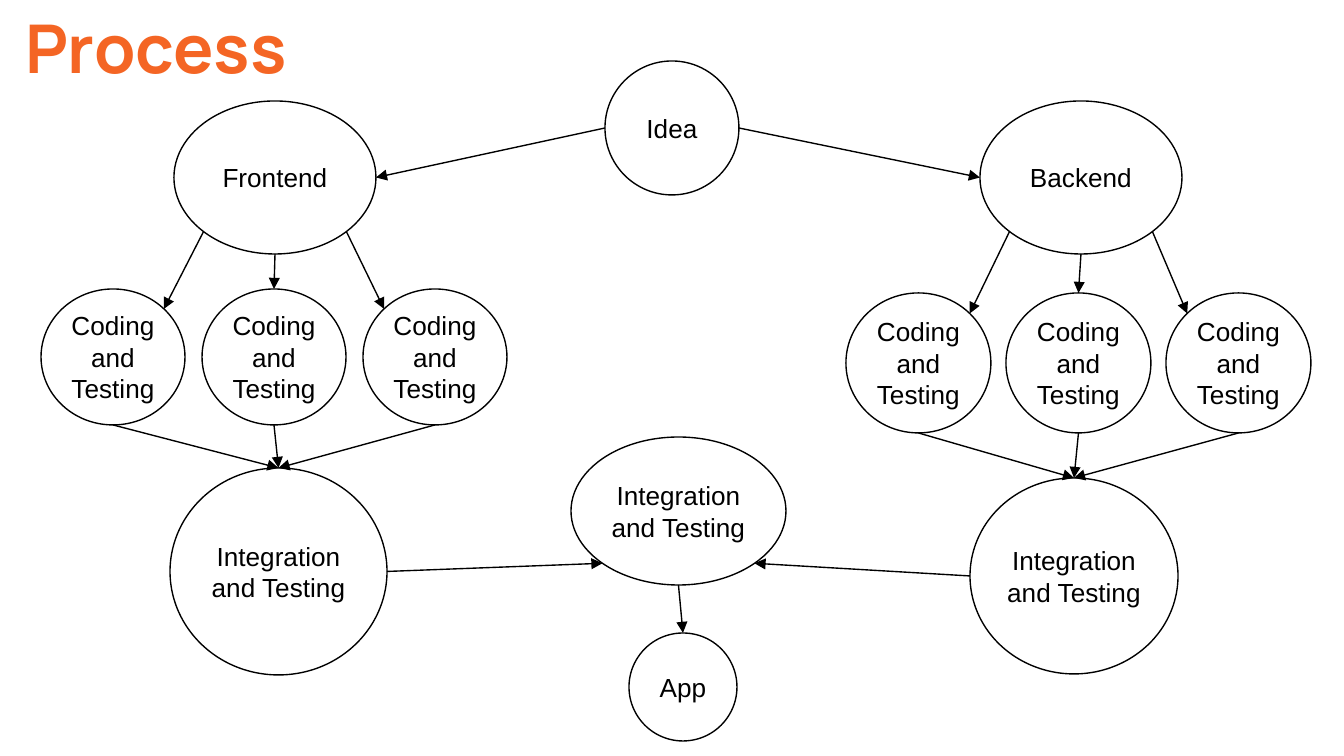
import math
import pptx
import pptx.util
import pptx.dml.color
import pptx.enum.shapes
import pptx.enum.text
from pptx.oxml.ns import qn
from lxml import etree

PX = 914400 / 134.4
COLORS = {"title": "F46524", "ink": "000000", "fill": "FFFFFF"}
CODE, JOIN = "Coding and Testing", "Integration and Testing"

# name: (text, left, top, width, height)
NODES = {
    "idea": ("Idea", 605, 61, 134, 134),
    "front": ("Frontend", 174, 101, 202, 153),
    "back": ("Backend", 980, 101, 202, 153),
    "front join": (JOIN, 170, 468, 217, 207),
    "back join": (JOIN, 970, 478, 208, 196),
    "join": (JOIN, 571, 437, 215, 148),
    "app": ("App", 629, 633, 108, 108),
}
# side: (left, top, width, height, pitch) of its three coding steps
ROWS = {"front": (41, 289, 144, 136, 161), "back": (846, 293, 145, 140, 160)}
for side, (left, top, wide, high, pitch) in ROWS.items():
    for i in range(3):
        NODES[f"{side} code {i}"] = (CODE, left + i * pitch, top, wide, high)

# Connection sites of an ellipse, counter-clockwise from the top
SITES = ["top", "top left", "left", "low left", "low", "low right", "right", "top right"]

# (from, site, to, site)
LINKS = [
    ("idea", "left", "front", "right"),
    ("idea", "right", "back", "left"),
    ("front join", "right", "join", "low left"),
    ("back join", "left", "join", "low right"),
    ("join", "low", "app", "top"),
]
FAN = [("low left", "top right"), ("low", "top"), ("low right", "top left")]
for side in ROWS:
    for i, (start, end) in enumerate(FAN):
        LINKS.append((side, start, f"{side} code {i}", end))
        LINKS.append((f"{side} code {i}", "low", f"{side} join", "top"))


def emu(px):
    return pptx.util.Emu(round(px * PX))


def rgb(name):
    return pptx.dml.color.RGBColor.from_string(COLORS[name])


def write(para, text, font, size, color, bold=False):
    run = para.add_run()
    run.text = text
    run.font.name = font
    run.font.size = pptx.util.Pt(size)
    run.font.bold = bold
    run.font.color.rgb = rgb(color)


def set_inset(frame, px):
    frame.margin_left = frame.margin_right = emu(px)
    frame.margin_top = frame.margin_bottom = emu(px)


def add_node(slide, text, *box):
    node = slide.shapes.add_shape(
        pptx.enum.shapes.MSO_SHAPE.OVAL, *[emu(v) for v in box])
    node.shadow.inherit = False
    node.fill.solid()
    node.fill.fore_color.rgb = rgb("fill")
    node.line.color.rgb = rgb("ink")
    node.line.width = pptx.util.Pt(0.75)
    frame = node.text_frame
    frame.word_wrap = True
    frame.vertical_anchor = pptx.enum.text.MSO_ANCHOR.MIDDLE
    set_inset(frame, 0)
    para = frame.paragraphs[0]
    para.alignment = pptx.enum.text.PP_ALIGN.CENTER
    write(para, text, "Arial", 14, "ink")
    return node


def site_at(name, site):
    """Point in px where a connection site lies on the ellipse."""
    _, left, top, wide, high = NODES[name]
    turn = math.radians(45 * SITES.index(site))
    return (left + wide / 2 * (1 - math.sin(turn)),
            top + high / 2 * (1 - math.cos(turn)))


def add_link(slide, shapes, head, start, tail, end):
    ends = [*site_at(head, start), *site_at(tail, end)]
    link = slide.shapes.add_connector(
        pptx.enum.shapes.MSO_CONNECTOR.STRAIGHT, *[emu(v) for v in ends])
    link.line.color.rgb = rgb("ink")
    link.line.width = pptx.util.Pt(0.75)
    etree.SubElement(link.line._get_or_add_ln(), qn("a:tailEnd"), type="triangle")
    etree.SubElement(link._element.spPr, qn("a:effectLst"))
    # begin_connect knows four sites only; an ellipse has eight
    joins = link._element.find(".//" + qn("p:cNvCxnSpPr"))
    for tag, name, site in (("a:stCxn", head, start), ("a:endCxn", tail, end)):
        etree.SubElement(joins, qn(tag), id=str(shapes[name].shape_id),
                         idx=str(SITES.index(site)))


def main():
    deck = pptx.Presentation()
    deck.slide_width, deck.slide_height = emu(1344), emu(756)
    slide = deck.slides.add_slide(deck.slide_layouts[5])

    title = slide.shapes.title
    title.left, title.top, title.width, title.height = map(emu, (12, -7, 802, 113))
    frame = title.text_frame
    frame.auto_size = pptx.enum.text.MSO_AUTO_SIZE.NONE
    frame.vertical_anchor = pptx.enum.text.MSO_ANCHOR.TOP
    set_inset(frame, 13)
    para = frame.paragraphs[0]
    para.alignment = pptx.enum.text.PP_ALIGN.LEFT
    para.space_after = pptx.util.Pt(16)
    write(para, "Process", "Manrope", 36, "title", bold=True)

    shapes = {name: add_node(slide, *node) for name, node in NODES.items()}
    for link in LINKS:
        add_link(slide, shapes, *link)
    deck.save("out.pptx")


if __name__ == "__main__":
    main()
